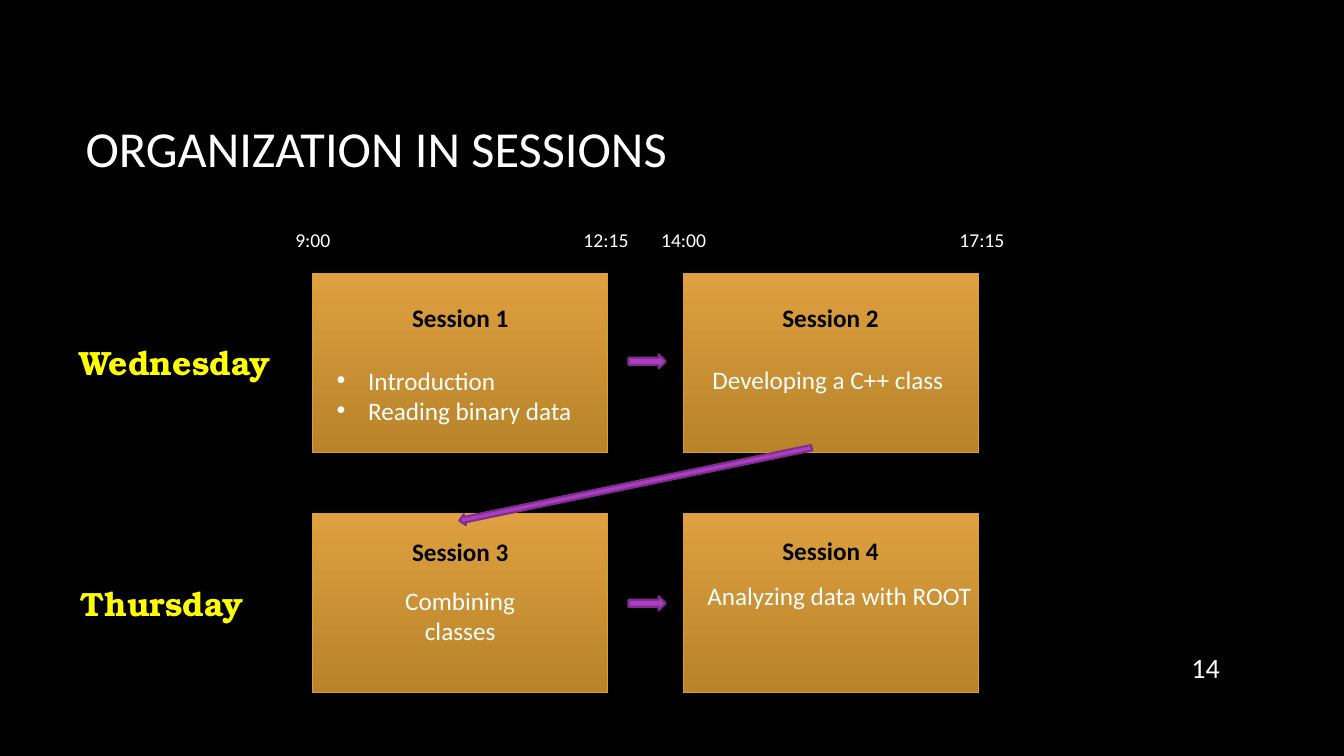
from pptx import Presentation
from pptx.dml.color import RGBColor
from pptx.enum.shapes import MSO_SHAPE
from pptx.enum.text import MSO_ANCHOR, MSO_AUTO_SIZE, PP_ALIGN
from pptx.util import Pt
from lxml.etree import SubElement
from pptx.oxml.ns import qn

COLORS = {"background": "000000", "text": "FFFFFF", "heading": "000000",
          "day": "FFFF00", "card_top": "DEA040", "card_bottom": "B88329",
          "card_line": "DD9D31", "arrow": "AC3EC1", "arrow_line": "7F2E8F"}


def color(name):
    return RGBColor.from_string(COLORS[name])


def write(box, place, lines, size, name="text", align=PP_ALIGN.LEFT,
          bold=False, font="Calibri", wrap=True, anchor=MSO_ANCHOR.TOP):
    box.left, box.top, box.width, box.height = [Pt(value) for value in place]
    frame = box.text_frame
    frame.auto_size = MSO_AUTO_SIZE.NONE
    frame.word_wrap = wrap
    frame.vertical_anchor = anchor
    for index, line in enumerate(lines):
        para = frame.add_paragraph() if index else frame.paragraphs[0]
        para.alignment = align
        para.space_before = Pt(0)
        span = para.add_run()
        span.text = line
        span.font.name = font
        span.font.size = Pt(size)
        span.font.bold = bold
        span.font.color.rgb = color(name)


deck = Presentation()
deck.slide_width, deck.slide_height = Pt(960), Pt(540)
page = deck.slides.add_slide(deck.slide_layouts[1])
page.background.fill.solid()
page.background.fill.fore_color.rgb = color("background")
title, topics = page.placeholders[0], page.placeholders[1]

# Session cards, placed behind the placeholders
card_lefts, card_tops = (223.2, 488.2), (195.1, 366.5)
for top in card_tops:
    for left in card_lefts:
        card = page.shapes.add_shape(MSO_SHAPE.RECTANGLE, Pt(left), Pt(top), Pt(211), Pt(128.2))
        card.shadow.inherit = False
        card.fill.gradient()
        card.fill.gradient_angle = 270
        for stop, name in zip(card.fill.gradient_stops, ("card_top", "card_bottom")):
            stop.color.rgb = color(name)
        card.line.color.rgb = color("card_line")
        card.line.width = Pt(0.75)
        title.element.addprevious(card.element)

# Title and bulleted topics of session 1
write(title, (54, 48.2, 797.8, 114.5), ["ORGANIZATION IN SESSIONS"], 36, anchor=MSO_ANCHOR.MIDDLE)
write(topics, (233.3, 257, 187.2, 51.1), ["Introduction", "Reading binary data"], 18)
for para in topics.text_frame.paragraphs:
    properties = para._p.get_or_add_pPr()
    properties.set("marL", str(Pt(22.5)))
    properties.set("indent", str(Pt(-22.5)))
    SubElement(properties, qn("a:buFont")).set("typeface", "Arial")
    SubElement(properties, qn("a:buChar")).set("char", "•")

# Session headings
for number, left, top in ((1, 287, 212.4), (2, 551.5, 212.4), (3, 287, 379.4), (4, 551.5, 378.7)):
    write(page.shapes.add_textbox(0, 0, 0, 0), (left, top, 83.5, 29.1), [f"Session {number}"], 18,
          "heading", PP_ALIGN.CENTER, bold=True, wrap=False)

# Session topics
for text, place, align in (
        ("Developing a C++ class", (501.8, 257, 182.9, 29.1), PP_ALIGN.LEFT),
        ("Combining classes", (277.2, 414.7, 103, 51.1), PP_ALIGN.CENTER),
        ("Analyzing data with ROOT", (498.2, 411.1, 208.8, 29.1), PP_ALIGN.LEFT)):
    write(page.shapes.add_textbox(0, 0, 0, 0), place, [text], 18, align=align)

# Days
for day, place in (("Wednesday", (49, 240.5, 151.9, 36)), ("Thursday", (49.7, 412.6, 132.5, 36))):
    write(page.shapes.add_textbox(0, 0, 0, 0), place, [day], 24, "day", PP_ALIGN.CENTER,
          bold=True, font="TeX Gyre Bonum", wrap=False)

# Times
for time, left, width in (("9:00", 203.8, 39.6), ("12:15", 409.7, 46.8),
                          ("14:00", 465.1, 46.8), ("17:15", 678.2, 46.8)):
    write(page.shapes.add_textbox(0, 0, 0, 0), (left, 159.1, width, 24.5), [time], 14, wrap=False)

# Arrows from session to session
for left, top, width, height, turn in ((450, 217.4, 7.9, 257, 78.3),
                                       (457.2, 244.8, 10.1, 26.6, 270),
                                       (457.2, 417.6, 10.1, 26.6, 270)):
    arrow = page.shapes.add_shape(MSO_SHAPE.DOWN_ARROW, Pt(left), Pt(top), Pt(width), Pt(height))
    arrow.rotation = turn
    arrow.shadow.inherit = False
    arrow.fill.solid()
    arrow.fill.fore_color.rgb = color("arrow")
    arrow.line.color.rgb = color("arrow_line")
    arrow.line.width = Pt(1.5)

# Page number
write(page.shapes.add_textbox(0, 0, 0, 0), (835.2, 462.2, 43.2, 29.5), ["14"], 20,
      align=PP_ALIGN.RIGHT, anchor=MSO_ANCHOR.MIDDLE)

deck.save("out.pptx")
